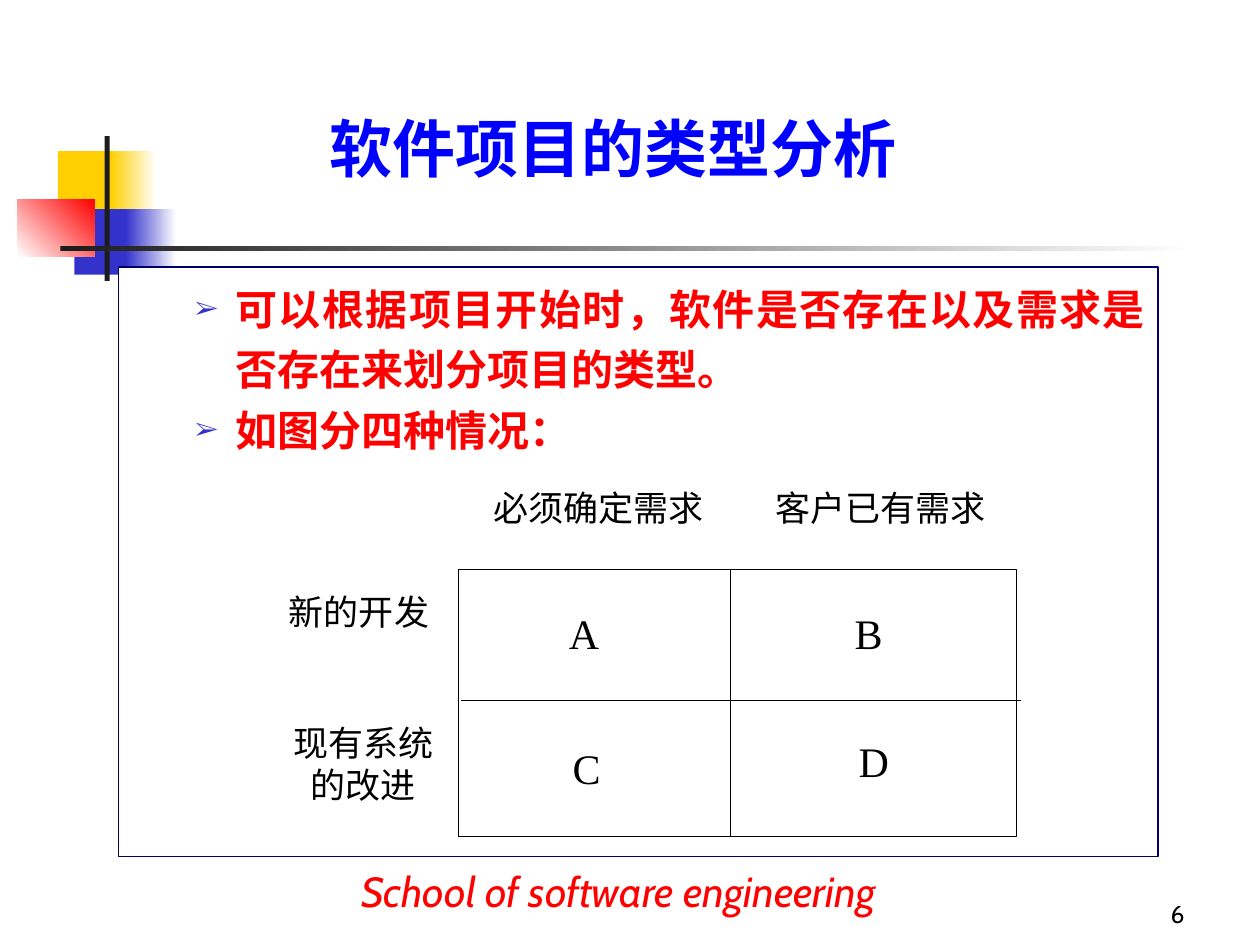
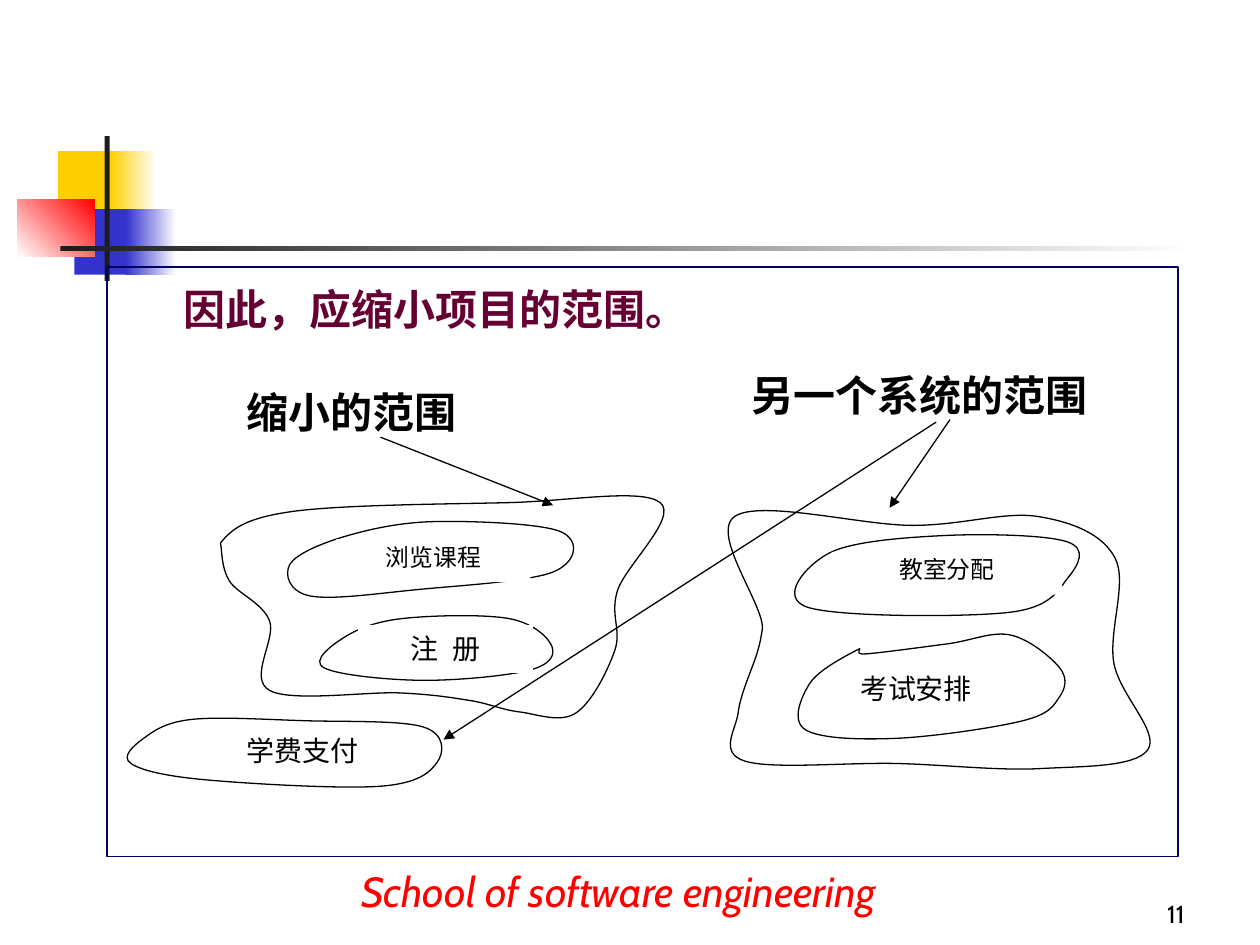
from lxml import etree
from pptx import Presentation
from pptx.dml.color import RGBColor
from pptx.enum import shapes as kinds, text as modes
from pptx.oxml import ns
from pptx.util import Emu, Pt

PX = 9144
HUES = {
    "white": "FFFFFF", "black": "000000", "ink": "1C1C1C", "gold": "FFCF01",
    "blue": "3333CC", "red": "FF0000", "title": "0000FF", "navy": "000066",
    "plum": "660033",
}
SERIF, SANS, HAN = "Times New Roman", "Cabin", "Noto Sans CJK SC"
LEFT, MID, RIGHT, FULL = (
    modes.PP_ALIGN.LEFT, modes.PP_ALIGN.CENTER,
    modes.PP_ALIGN.RIGHT, modes.PP_ALIGN.JUSTIFY)
TOP, BASE = modes.MSO_ANCHOR.TOP, modes.MSO_ANCHOR.BOTTOM


def px(*nums):
    return [Emu(round(n * PX)) for n in nums]


def hue(name):
    return RGBColor.from_string(HUES[name])


def node(parent, tag, **attrs):
    return etree.SubElement(parent, ns.qn(tag), attrs)


def paint(shape, fill=None, line=None):
    shape.shadow.inherit = False
    if fill:
        shape.fill.solid()
        shape.fill.fore_color.rgb = hue(fill)
    else:
        shape.fill.background()
    if line:
        shape.line.color.rgb = hue(line)
        shape.line.width = Pt(0.75)
    else:
        shape.line.fill.background()


def rect(slide, box, fill=None, line=None):
    shape = slide.shapes.add_shape(kinds.MSO_SHAPE.RECTANGLE, *px(*box))
    paint(shape, fill, line)
    return shape


def fade(slide, box, start, end, angle=0):
    shape = rect(slide, box, start)
    shape.fill.gradient()
    shape.fill.gradient_angle = angle
    for stop, name in zip(shape.fill.gradient_stops, (start, end)):
        stop.color.rgb = hue(name)


def setup(shape, anchor):
    frame = shape.text_frame
    frame.word_wrap = True
    frame.auto_size = modes.MSO_AUTO_SIZE.NONE
    frame.vertical_anchor = anchor
    return frame


def write(para, words, size, color="black", face=SERIF, align=MID,
          bold=False, italic=False, lead=None, gap=0):
    para.alignment = align
    if lead:
        para.line_spacing = lead
    run = para.add_run()
    run.text = words
    font = run.font
    font.size, font.bold, font.italic = Pt(size), bold, italic
    font.color.rgb = hue(color)
    font.name = face
    node(font._element, "a:ea", typeface=HAN)
    if gap:
        font._element.set("spc", str(gap * 100))


def label(slide, box, words, size, **style):
    shape = rect(slide, box, "white")
    write(setup(shape, TOP).paragraphs[0], words, size, **style)


def note(slide, box, words, size, **style):
    shape = slide.shapes.add_textbox(*px(*box))
    write(setup(shape, BASE).paragraphs[0], words, size, **style)


def line(slide, start, end, arrow=False):
    link = slide.shapes.add_connector(
        kinds.MSO_CONNECTOR.STRAIGHT, *px(*start, *end))
    link.line.color.rgb = hue("black")
    link.line.width = Pt(0.75)
    if arrow:
        node(link.line._get_or_add_ln(), "a:tailEnd", type="triangle")
    node(link._element.spPr, "a:effectLst")


def bend(points, lead):
    if lead:
        ring = [points[0], *points, points[-1]]
    else:
        ring = [points[-1], *points, *points[:2]]
    for i in range(len(ring) - 3):
        a, b, c, d = ring[i:i + 4]
        exit = tuple(q + (r - p) / 6 for p, q, r in zip(a, b, c))
        enter = tuple(r - (s - q) / 6 for q, r, s in zip(b, c, d))
        yield lead if lead and i == 0 else exit
        yield enter
        yield c


def blob(slide, points, lead=None):
    pen = slide.shapes.build_freeform(*px(*points[0]))
    pen.add_line_segments([px(*p) for p in bend(points, lead)], close=True)
    shape = pen.convert_to_shape()
    paint(shape, "white", "black")
    legs = list(shape._element.iter(ns.qn("a:lnTo")))
    for i in range(0, len(legs), 3):
        arc = etree.Element(ns.qn("a:cubicBezTo"))
        legs[i].addprevious(arc)
        for leg in legs[i:i + 3]:
            arc.append(leg[0])
            leg.getparent().remove(leg)


def body(slide, box, lines, color, fill=None, bullet=False):
    frame = setup(rect(slide, box, fill, "navy"), TOP)
    for i, words in enumerate(lines):
        para = frame.add_paragraph() if i else frame.paragraphs[0]
        props = para._p.get_or_add_pPr()
        left, hang = px(83, -32)
        props.set("marL", str(left))
        props.set("indent", str(hang))
        if bullet:
            node(node(props, "a:buClr"), "a:srgbClr", val=HUES["blue"])
            node(props, "a:buSzPct", val="60000")
            node(props, "a:buFont", typeface=SERIF)
            node(props, "a:buChar", char="➢")
        write(para, words, 24, color, align=FULL, bold=True, lead=1.2)


def brand(deck):
    master = deck.slide_master
    slide = deck.slides[0]
    held = len(slide.shapes)
    rect(slide, (46, 120, 48, 52), "gold")
    fade(slide, (88, 120, 36, 52), "gold", "white")
    rect(slide, (59, 166, 46, 52), "blue")
    fade(slide, (100, 166, 40, 52), "blue", "white")
    fade(slide, (14, 158, 61, 46), "white", "red", 45)
    rect(slide, (83, 108, 4, 115), "ink")
    fade(slide, (48, 195, 900, 4), "ink", "white")
    for i, shape in enumerate(list(slide.shapes)[held:]):
        shape._element.nvSpPr.cNvPr.set("id", str(100 + i))
        master.shapes._spTree.append(shape._element)


def base(deck, layout, number):
    slide = deck.slides.add_slide(deck.slide_layouts[layout])
    note(slide, (742, 692, 208, 50), number, 14, face=SANS, align=RIGHT)
    note(slide, (277, 689, 608, 43), "School of software engineering", 24,
         color="red", face=SANS, align=LEFT, italic=True)
    return slide


def title(slide, words):
    shape = slide.shapes.title
    shape.left, shape.top, shape.width, shape.height = px(130, 60, 713, 92)
    write(setup(shape, BASE).paragraphs[0], words, 36, "title", bold=True)


def types(deck):
    slide = base(deck, 5, "6")
    title(slide, "软件项目的类型分析")
    body(slide, (94, 212, 825, 468), [
        "可以根据项目开始时，软件是否存在以及需求是否存在来划分项目的类型。",
        "如图分四种情况：",
    ], "red", "white", True)
    rect(slide, (364, 452, 443, 212), "white", "black")
    line(slide, (366, 556), (810, 556))
    line(slide, (580, 452), (580, 664))
    for words, x, y in (("A", 430, 477), ("C", 432, 584),
                        ("B", 656, 477), ("D", 660, 579)):
        label(slide, (x, y, 67, 57), words, 24)
    for words, box in (
        ("必须确定需求", (373, 381, 204, 57)),
        ("客户已有需求", (591, 381, 216, 57)),
        ("新的开发", (218, 464, 134, 57)),
        ("现有系统的改进", (217, 568, 143, 93)),
    ):
        label(slide, box, words, 20)


def scope(deck):
    slide = base(deck, 6, "11")
    body(slide, (85, 212, 850, 468), ["因此，应缩小项目的范围。"], "plum")

    blob(slide, [(175, 431), (232, 406), (403, 399), (524, 399), (490, 469),
                 (488, 516), (457, 566), (412, 565), (373, 556), (318, 550),
                 (214, 548), (214, 493), (182, 461), (175, 431)], (184, 420))
    blob(slide, [(273, 426), (345, 414), (445, 422), (439, 454), (331, 468),
                 (246, 473), (230, 448)])
    label(slide, (267, 428, 154, 34), "浏览课程", 13.6, lead=0.9)
    blob(slide, [(319, 491), (404, 491), (438, 513), (420, 532), (334, 540),
                 (257, 530), (273, 506)])
    label(slide, (284, 496, 139, 38), "注 册", 16, gap=2)
    blob(slide, [(152, 571), (241, 572), (336, 577), (347, 605), (302, 624),
                 (164, 619), (104, 606), (114, 586)])
    label(slide, (157, 577, 166, 38), "学费支付", 16)

    blob(slide, [(605, 500), (583, 410), (724, 417), (824, 410), (885, 443),
                 (884, 526), (911, 595), (826, 610), (712, 606), (591, 604),
                 (586, 565), (601, 518), (605, 500)], (608, 482))
    blob(slide, [(658, 439), (750, 425), (847, 430), (848, 458), (801, 486),
                 (641, 482)])
    label(slide, (660, 438, 183, 34), "教室分配", 13.6, lead=0.9)
    blob(slide, [(680, 516), (687, 519), (752, 511), (802, 504), (841, 530),
                 (841, 553), (812, 572), (711, 586), (639, 579), (643, 542)])
    label(slide, (661, 528, 132, 42), "考试安排", 16)

    for words, x, y in (("缩小的范围", 104, 297), ("另一个系统的范围", 555, 283)):
        note(slide, (x, y, 350, 55), words, 24, face=HAN, bold=True)
    for start, end in (((302, 347), (439, 401)), ((754, 333), (706, 403)),
                       ((743, 335), (352, 587))):
        line(slide, start, end, True)


def main():
    deck = Presentation()
    deck.slide_width, deck.slide_height = px(1000, 750)
    types(deck)
    scope(deck)
    brand(deck)
    deck.save("out.pptx")


if __name__ == "__main__":
    main()
